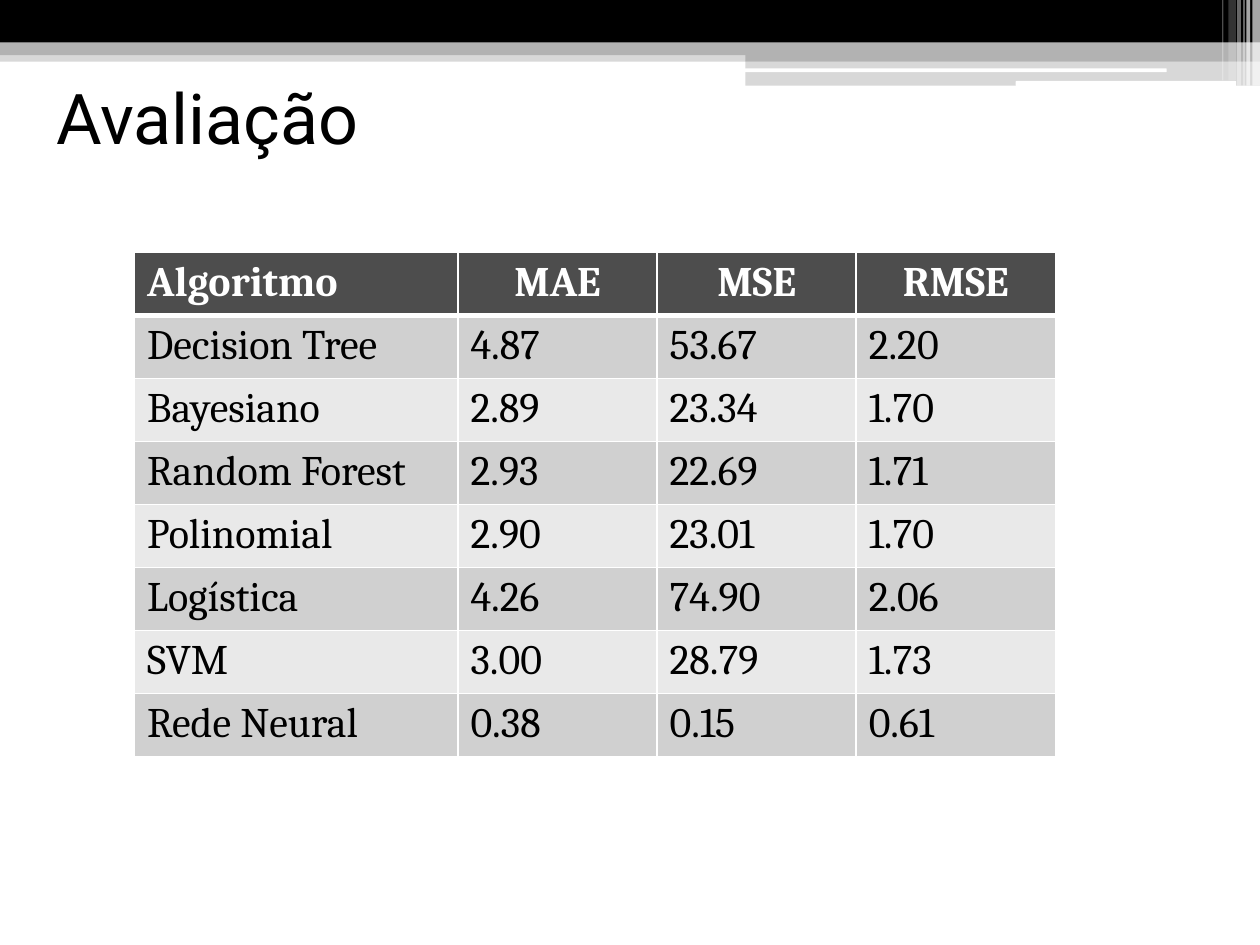
from lxml import etree
from pptx import Presentation
from pptx import util as u
from pptx.dml.color import RGBColor
from pptx.enum import shapes, text
from pptx.oxml import ns

BLACK = RGBColor(0x00, 0x00, 0x00)
WHITE = RGBColor(0xFF, 0xFF, 0xFF)
SILVER = RGBColor(0xB2, 0xB2, 0xB2)
HEADER_GRAY = RGBColor(0x4D, 0x4D, 0x4D)
BAND_DARK = RGBColor(0xD0, 0xD0, 0xD0)
BAND_LIGHT = RGBColor(0xE9, 0xE9, 0xE9)
RECT = shapes.MSO_SHAPE.RECTANGLE
ROUND = shapes.MSO_SHAPE.ROUNDED_RECTANGLE


def add_bar(slide, preset, left, top, width, height, color, opacity=100):
    bar = slide.shapes.add_shape(preset, u.Pt(left), u.Pt(top), u.Pt(width), u.Pt(height))
    bar.shadow.inherit = False
    bar.line.fill.background()
    bar.fill.solid()
    bar.fill.fore_color.rgb = color
    if opacity < 100:
        tint = bar.fill._xPr.find(".//" + ns.qn("a:srgbClr"))
        etree.SubElement(tint, ns.qn("a:alpha"), val=str(opacity * 1000))


def add_border(cell, side, width):
    edge = etree.SubElement(cell._tc.get_or_add_tcPr(), ns.qn("a:" + side), w=str(u.Pt(width)))
    paint = etree.SubElement(edge, ns.qn("a:solidFill"))
    etree.SubElement(paint, ns.qn("a:srgbClr"), val=str(WHITE))


deck = Presentation()
deck.slide_width, deck.slide_height = u.Pt(720), u.Pt(540)
slide = deck.slides.add_slide(deck.slide_layouts[6])

for bar in [
    (RECT, 0, 28.8, 720, 6.5, SILVER, 50),
    (RECT, 0, 0, 720, 24.4, BLACK),
    (RECT, 0, 24.4, 720, 7.2, SILVER),
    (RECT, 426, 28.1, 294, 7, SILVER),
    (RECT, 426, 34.7, 294, 14.2, SILVER, 50),
    (ROUND, 425.5, 39.1, 241.2, 2.16, WHITE),
    (ROUND, 580.4, 46.3, 126, 2.88, WHITE),
]:
    add_bar(slide, *bar)

for left, width, height, opacity in [
    (715.7, 4.3, 49, 65),
    (712.2, 2.16, 49, 65),
    (710.5, 0.72, 49, 60),
    (707, 2.16, 49, 40),
    (702, 4.3, 46, 20),
    (698.4, 0.72, 46, 30),
]:
    add_bar(slide, RECT, left, 0, width, height, WHITE, opacity)

title = slide.shapes.add_textbox(u.Pt(25.2), u.Pt(24.5), u.Pt(648), u.Pt(84.2)).text_frame
title.word_wrap = True
title.vertical_anchor = text.MSO_ANCHOR.MIDDLE
heading = title.paragraphs[0].add_run()
heading.text = "Avaliação"
heading.font.name = "Roboto"
heading.font.size = u.Pt(40)
heading.font.color.rgb = BLACK

results = [
    ("Algoritmo", "MAE", "MSE", "RMSE"),
    ("Decision Tree", "4.87", "53.67", "2.20"),
    ("Bayesiano", "2.89", "23.34", "1.70"),
    ("Random Forest", "2.93", "22.69", "1.71"),
    ("Polinomial", "2.90", "23.01", "1.70"),
    ("Logística", "4.26", "74.90", "2.06"),
    ("SVM", "3.00", "28.79", "1.73"),
    ("Rede Neural", "0.38", "0.15", "0.61"),
]
column_widths = [184.8, 113.8, 113.8, 113.8]
row_height = 34.8
scores = slide.shapes.add_table(
    len(results), len(column_widths), u.Pt(76.9), u.Pt(144.2),
    u.Pt(sum(column_widths)), u.Pt(row_height * len(results))).table
for column, width in zip(scores.columns, column_widths):
    column.width = u.Pt(width)

for r, result in enumerate(results):
    scores.rows[r].height = u.Pt(row_height)
    is_header = r == 0
    band = HEADER_GRAY if is_header else (BAND_DARK if r % 2 else BAND_LIGHT)
    for c, value in enumerate(result):
        cell = scores.cell(r, c)
        add_border(cell, "lnL", 1)
        add_border(cell, "lnR", 1)
        add_border(cell, "lnT", 3 if r == 1 else 1)
        add_border(cell, "lnB", 3 if is_header else 1)
        cell.fill.solid()
        cell.fill.fore_color.rgb = band
        entry = cell.text_frame.paragraphs[0]
        if is_header and c > 0:
            entry.alignment = text.PP_ALIGN.CENTER
        label = entry.add_run()
        label.text = value
        label.font.name = "Cambria"
        label.font.size = u.Pt(24)
        label.font.bold = is_header
        label.font.color.rgb = WHITE if is_header else BLACK

deck.save("out.pptx")
